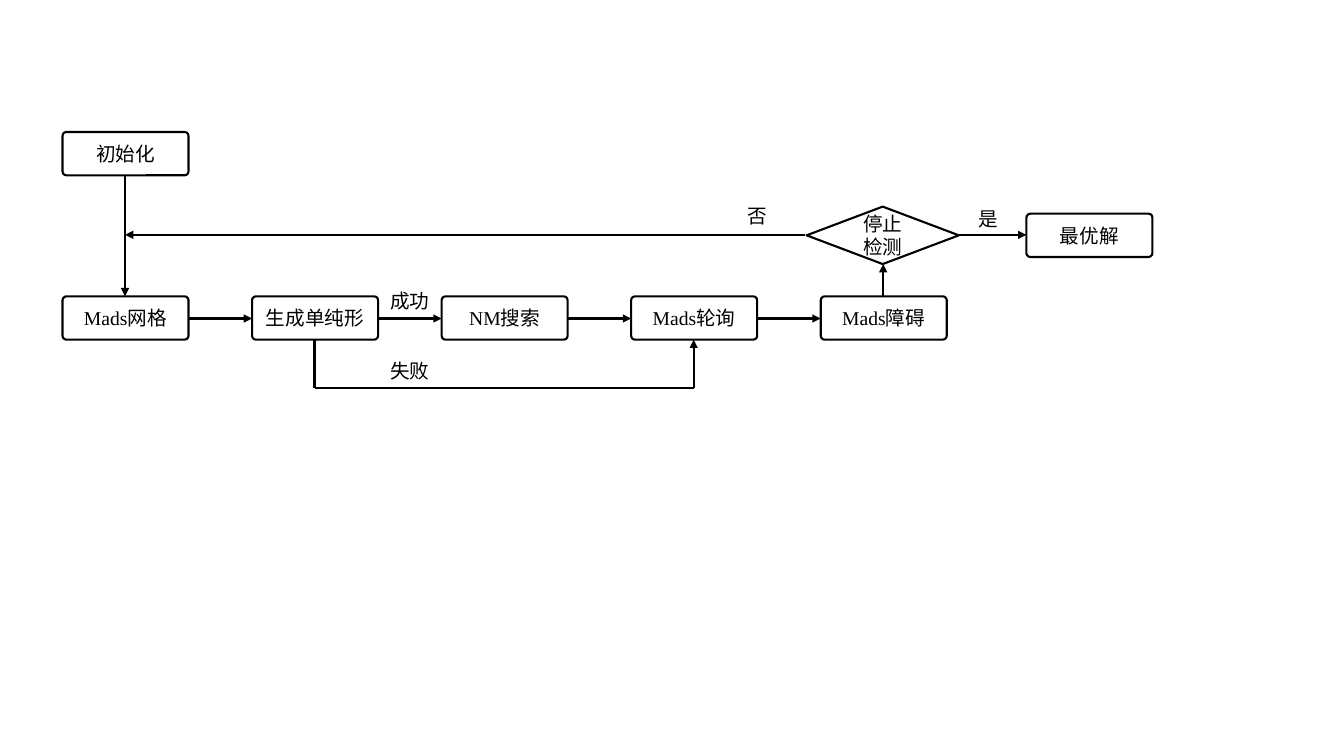
from dataclasses import dataclass

import pptx
import pptx.dml.color
import pptx.enum.shapes
import pptx.enum.text
import pptx.oxml
import pptx.oxml.ns
import pptx.util

EMU_PER_PX = 9144  # 100 px to the inch
COLORS = {"ink": "000000", "paper": "FFFFFF"}
FONT = "Times New Roman"
LINE_WIDTH = 1.5
BOX_WIDTH, BOX_HEIGHT = 125, 43
LABEL_WIDTH, LABEL_HEIGHT = 71, 34
STEP_LEFT, STEP_TOP, STEP_PITCH = 62, 294, 188
STEP_MIDDLE, STEP_BOTTOM = 316, STEP_TOP + BOX_HEIGHT
RETURN_Y, BYPASS_Y = 233, 385
START_X, SIMPLEX_X, POLL_X, BARRIER_X = 124, 312, 688, 876

SHAPES = pptx.enum.shapes.MSO_SHAPE


@dataclass(frozen=True)
class Node:
    text: str
    left: int
    top: int
    width: int = BOX_WIDTH
    height: int = BOX_HEIGHT
    kind: SHAPES = SHAPES.ROUNDED_RECTANGLE


@dataclass(frozen=True)
class Label:
    text: str
    left: int
    top: int


@dataclass(frozen=True)
class Link:
    start: tuple[int, int]
    end: tuple[int, int]
    arrow: bool = True


def px(length: int) -> pptx.util.Emu:
    return pptx.util.Emu(length * EMU_PER_PX)


def color(name: str) -> pptx.dml.color.RGBColor:
    return pptx.dml.color.RGBColor.from_string(COLORS[name])


def write_text(frame, text: str, *, size: int = 14, ink: str = "ink",
               anchor=pptx.enum.text.MSO_ANCHOR.MIDDLE) -> None:
    frame.word_wrap = True
    frame.vertical_anchor = anchor
    paragraph = frame.paragraphs[0]
    paragraph.alignment = pptx.enum.text.PP_ALIGN.CENTER
    run = paragraph.add_run()
    run.text = text
    run.font.name = FONT
    run.font.size = pptx.util.Pt(size)
    run.font.color.rgb = color(ink)


def style_line(line) -> None:
    line.color.rgb = color("ink")
    line.width = pptx.util.Pt(LINE_WIDTH)


def draw_node(slide, node: Node) -> None:
    shape = slide.shapes.add_shape(
        node.kind, px(node.left), px(node.top), px(node.width), px(node.height))
    shape.shadow.inherit = False
    if node.kind == SHAPES.ROUNDED_RECTANGLE:
        shape.adjustments[0] = 0.09
    shape.fill.solid()
    shape.fill.fore_color.rgb = color("paper")
    style_line(shape.line)
    write_text(shape.text_frame, node.text)


def draw_label(slide, label: Label) -> None:
    box = slide.shapes.add_textbox(
        px(label.left), px(label.top), px(LABEL_WIDTH), px(LABEL_HEIGHT))
    write_text(box.text_frame, label.text, anchor=pptx.enum.text.MSO_ANCHOR.TOP)
    box.text_frame.auto_size = pptx.enum.text.MSO_AUTO_SIZE.SHAPE_TO_FIT_TEXT


def draw_link(slide, link: Link) -> None:
    connector = slide.shapes.add_connector(
        pptx.enum.shapes.MSO_CONNECTOR.STRAIGHT,
        *map(px, link.start), *map(px, link.end))
    style_line(connector.line)
    qualified = pptx.oxml.ns.qn
    properties = connector._element.spPr
    if link.arrow:
        tail = properties.find(qualified("a:ln")).makeelement(
            qualified("a:tailEnd"), {"type": "triangle"})
        properties.find(qualified("a:ln")).append(tail)
    properties.append(properties.makeelement(qualified("a:effectLst"), {}))


# Main row of steps, then the nodes above it
STEPS = ["Mads网格", "生成单纯形", "NM搜索", "Mads轮询", "Mads障碍"]
STEP_LEFTS = [STEP_LEFT + index * STEP_PITCH for index in range(len(STEPS))]
NODES = [
    Node("初始化", STEP_LEFT, 131),
    *(Node(text, left, STEP_TOP) for text, left in zip(STEPS, STEP_LEFTS)),
    Node("停止检测", 800, 205, 151, 57, SHAPES.FLOWCHART_DECISION),
    Node("最优解", 1018, 212),
]

LINKS = [
    Link((START_X, 174), (START_X, STEP_TOP)),
    # Between neighbouring steps
    *(Link((left + BOX_WIDTH, STEP_MIDDLE), (left + STEP_PITCH, STEP_MIDDLE))
      for left in STEP_LEFTS[:-1]),
    # Around the stop test
    Link((BARRIER_X, STEP_TOP), (BARRIER_X, 262)),
    Link((798, RETURN_Y), (START_X, RETURN_Y)),
    Link((951, RETURN_Y), (1018, RETURN_Y)),
    # Bypass on failure
    Link((SIMPLEX_X, BYPASS_Y), (SIMPLEX_X, STEP_BOTTOM), arrow=False),
    Link((POLL_X, BYPASS_Y), (SIMPLEX_X, BYPASS_Y), arrow=False),
    Link((POLL_X, BYPASS_Y), (POLL_X, STEP_BOTTOM)),
]

LABELS = [
    Label("是", 945, 200),
    Label("否", 716, 197),
    Label("成功", 371, 282),
    Label("失败", 371, 351),
]


def main() -> None:
    presentation = pptx.Presentation()
    presentation.slide_width = px(1333)
    presentation.slide_height = px(750)
    slide = presentation.slides.add_slide(presentation.slide_layouts[6])
    for node in NODES:
        draw_node(slide, node)
    for link in LINKS:
        draw_link(slide, link)
    for label in LABELS:
        draw_label(slide, label)
    presentation.save("out.pptx")


if __name__ == "__main__":
    main()
